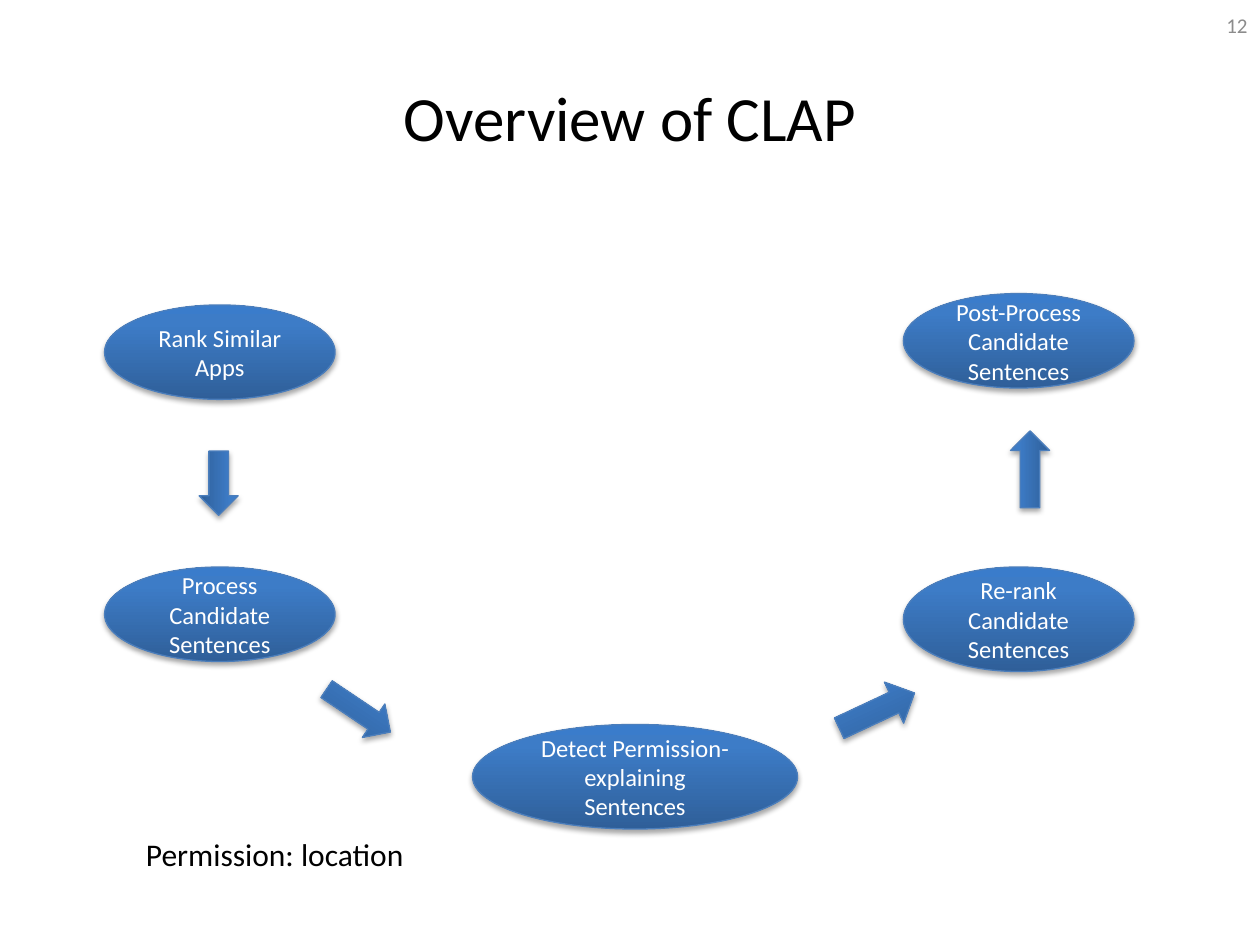
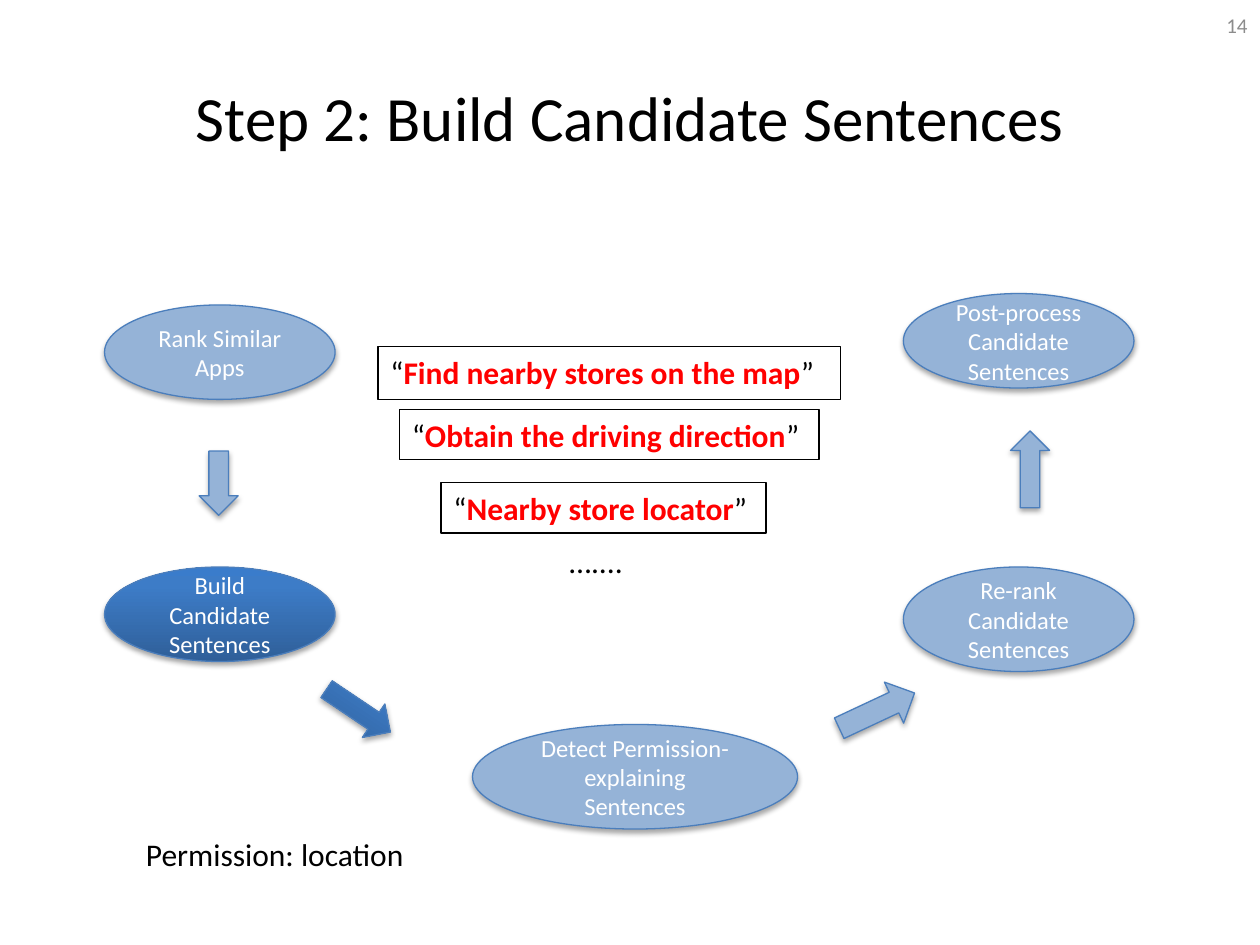
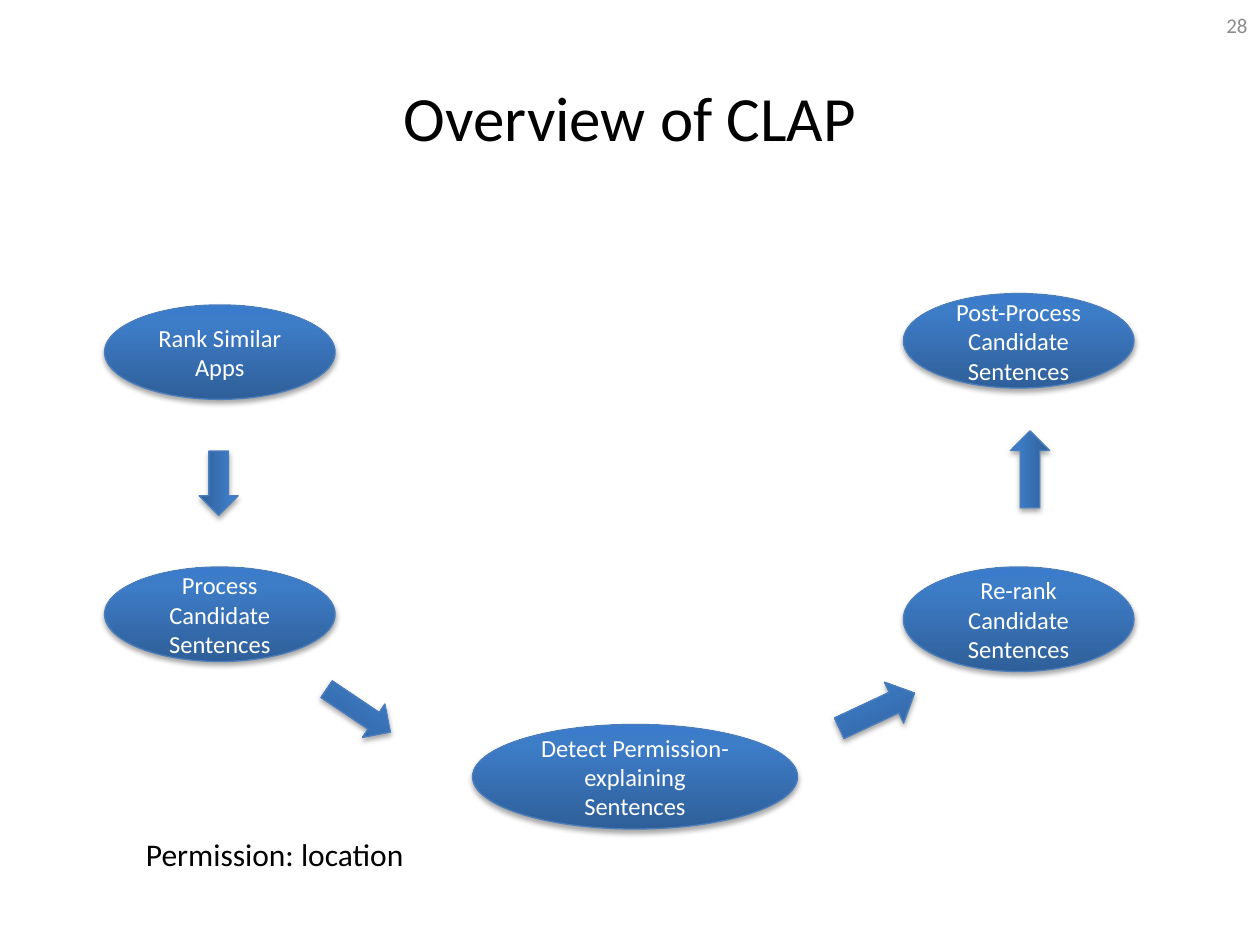
from dataclasses import dataclass
from typing import Optional

from lxml.etree import SubElement
from pptx import Presentation
from pptx.dml.color import RGBColor
from pptx.enum.shapes import MSO_SHAPE as SHAPE
from pptx.enum.text import MSO_ANCHOR as ANCHOR, MSO_AUTO_SIZE as AUTO, PP_ALIGN as ALIGN
from pptx.oxml.ns import qn
from pptx.util import Inches, Pt

FONT = "Calibri"
BLACK, WHITE, RED, GREY = "000000", "FFFFFF", "FF0000", "8C8C8C"
OUTLINE, FADED = "4B7EBC", "95B3D7"
GRADIENT = ((0, "2F5F99"), (80, "3D7CC7"), (100, "3A7CCB"))


@dataclass(frozen=True)
class Box:
    left: float
    top: float
    width: float
    height: float

    def lengths(self) -> tuple:
        return tuple(Inches(v) for v in (self.left, self.top, self.width, self.height))


@dataclass(frozen=True)
class Arrow:
    box: Box
    rotation: float


@dataclass(frozen=True)
class Quote:
    text: str
    box: Box
    fill: Optional[str] = WHITE


@dataclass(frozen=True)
class Stage:
    title: str
    number: int
    process: str = "Process Candidate Sentences"
    post_process: str = "Post-Process Candidate\nSentences"
    active: Optional[int] = None
    quotes: tuple[Quote, ...] = ()


TITLE_BOX = Box(0.5, 0.3, 9, 1.25)
NUMBER_BOX = Box(7.67, 0, 2.33, 0.4)
PERMISSION_BOX = Box(1.06, 6.58, 2.28, 0.4)
ELLIPSIS_BOX = Box(4.42, 4.25, 0.63, 0.4)

STEP_BOXES = (
    Box(0.83, 2.42, 1.83, 0.75),
    Box(0.83, 4.5, 1.83, 0.75),
    Box(3.75, 5.75, 2.58, 0.83),
    Box(7.17, 4.5, 1.83, 0.83),
    Box(7.17, 2.33, 1.83, 0.75),
)
ARROWS = (
    Arrow(Box(1.48, 3.68, 0.51, 0.31), 90),
    Arrow(Box(2.54, 5.48, 0.61, 0.32), 33.9),
    Arrow(Box(6.63, 5.46, 0.66, 0.36), 334.9),
    Arrow(Box(7.87, 3.57, 0.61, 0.31), 270),
)
QUOTES = (
    Quote("Find nearby stores on the map", Box(3, 2.75, 3.67, 0.42), None),
    Quote("Obtain the driving direction", Box(3.17, 3.25, 3.33, 0.4)),
    Quote("Nearby store locator", Box(3.5, 3.83, 2.58, 0.4)),
)
STAGES = (
    Stage("Overview of CLAP", 12),
    Stage(
        "Step 2: Build Candidate Sentences",
        14,
        process="Build Candidate Sentences",
        post_process="Post-process Candidate\nSentences",
        active=1,
        quotes=QUOTES,
    ),
    Stage("Overview of CLAP", 28),
)


def rgb(color: str) -> RGBColor:
    return RGBColor.from_string(color)


def add_run(p, text: str, size: float, color: str, bold: bool = False) -> None:
    r = p.add_run()
    r.text = text
    r.font.name = FONT
    r.font.size = Pt(size)
    r.font.bold = bold
    r.font.color.rgb = rgb(color)


def write(sp, text: str, size: float = 18, color: str = BLACK, align=ALIGN.LEFT,
          anchor=ANCHOR.TOP, wrap: bool = True) -> None:
    tf = sp.text_frame
    tf.word_wrap = wrap
    tf.vertical_anchor = anchor
    for i, line in enumerate(text.split("\n")):
        p = tf.add_paragraph() if i else tf.paragraphs[0]
        p.alignment = align
        add_run(p, line, size, color)


def add_text(s, box: Box, text: str, **style) -> None:
    write(s.shapes.add_textbox(*box.lengths()), text, **style)


def add_label(s, box: Box, text: str) -> None:
    sp = s.shapes.add_textbox(*box.lengths())
    write(sp, text, wrap=False)
    sp.text_frame.auto_size = AUTO.SHAPE_TO_FIT_TEXT


def set_gradient(sp) -> None:
    sp.fill.gradient()
    sp.fill.gradient_angle = 90
    stops = sp.element.spPr.find(qn("a:gradFill")).find(qn("a:gsLst"))
    for old in list(stops):
        stops.remove(old)
    for position, color in GRADIENT:
        stop = SubElement(stops, qn("a:gs"), pos=str(position * 1000))
        SubElement(stop, qn("a:srgbClr"), val=color)


def set_shadow(sp) -> None:
    sp.shadow.inherit = False
    effects = sp.element.spPr.find(qn("a:effectLst"))
    shadow = SubElement(effects, qn("a:outerShdw"), blurRad=str(Pt(3.1)), dist=str(Pt(1.8)),
                        dir="5400000", rotWithShape="0")
    color = SubElement(shadow, qn("a:srgbClr"), val=BLACK)
    SubElement(color, qn("a:alpha"), val="35000")


def add_flow_shape(s, kind, box: Box, lit: bool):
    sp = s.shapes.add_shape(kind, *box.lengths())
    if lit:
        set_gradient(sp)
    else:
        sp.fill.solid()
        sp.fill.fore_color.rgb = rgb(FADED)
    sp.line.color.rgb = rgb(OUTLINE)
    sp.line.width = Pt(0.75)
    set_shadow(sp)
    return sp


def add_quote(s, quote: Quote) -> None:
    sp = s.shapes.add_textbox(*quote.box.lengths())
    if quote.fill:
        sp.fill.solid()
        sp.fill.fore_color.rgb = rgb(quote.fill)
    sp.line.color.rgb = rgb(BLACK)
    sp.line.width = Pt(0.75)
    write(sp, "“")
    p = sp.text_frame.paragraphs[0]
    add_run(p, quote.text, 18, RED, bold=True)
    add_run(p, "”", 18, BLACK)


def add_stage(prs, stage: Stage) -> None:
    s = prs.slides.add_slide(prs.slide_layouts[6])
    add_text(s, TITLE_BOX, stage.title, size=36, align=ALIGN.CENTER, anchor=ANCHOR.MIDDLE)
    add_text(s, NUMBER_BOX, str(stage.number), size=12, color=GREY, align=ALIGN.RIGHT,
             anchor=ANCHOR.MIDDLE)
    steps = (
        "Rank Similar Apps",
        stage.process,
        "Detect Permission-explaining Sentences",
        "Re-rank Candidate Sentences",
        stage.post_process,
    )
    for i, (box, step) in enumerate(zip(STEP_BOXES, steps)):
        sp = add_flow_shape(s, SHAPE.OVAL, box, stage.active in (None, i))
        write(sp, step, size=14, color=WHITE, align=ALIGN.CENTER, anchor=ANCHOR.MIDDLE)
    for i, arrow in enumerate(ARROWS):
        sp = add_flow_shape(s, SHAPE.RIGHT_ARROW, arrow.box, stage.active in (None, i))
        sp.rotation = arrow.rotation
    for quote in stage.quotes:
        add_quote(s, quote)
    if stage.quotes:
        add_label(s, ELLIPSIS_BOX, "…....")
    add_label(s, PERMISSION_BOX, "Permission: location")


def main() -> None:
    prs = Presentation()
    prs.slide_width, prs.slide_height = Inches(10), Inches(7.5)
    for stage in STAGES:
        add_stage(prs, stage)
    prs.save("out.pptx")


if __name__ == "__main__":
    main()
